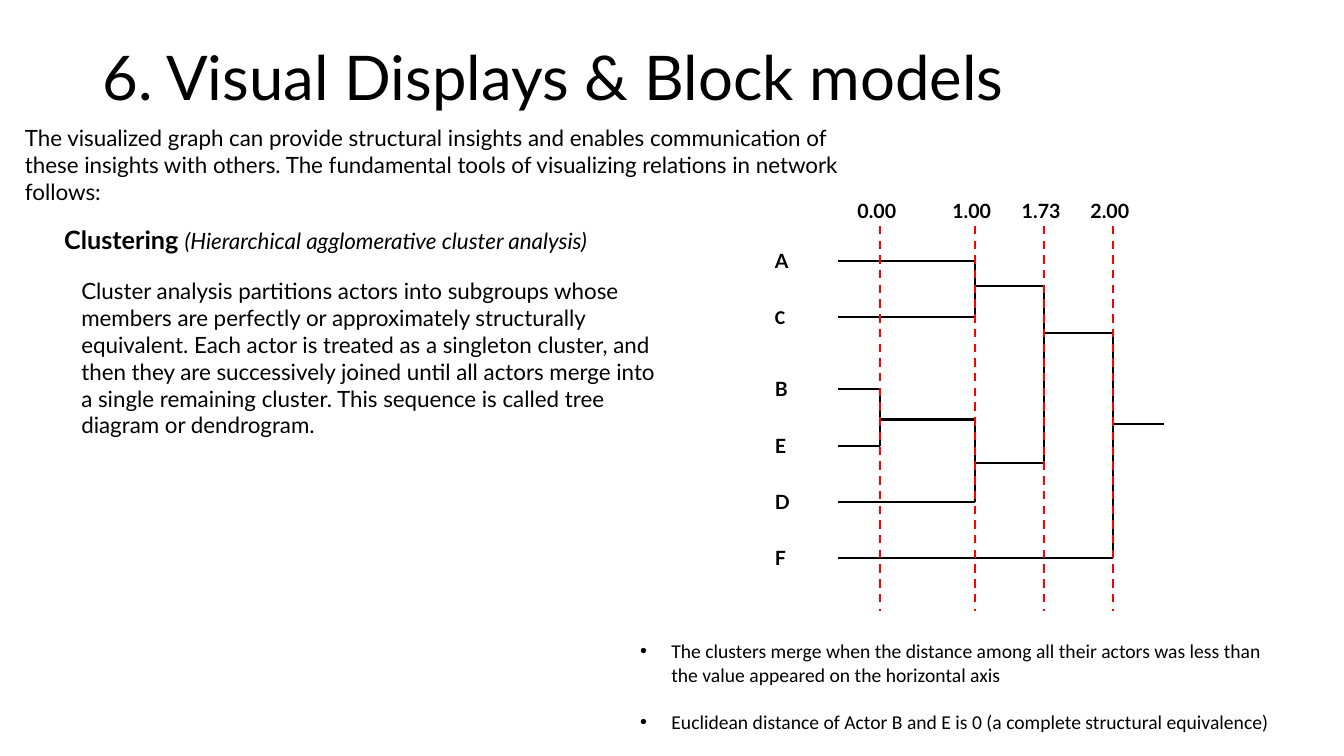
"""Build the slide on visual displays and block models, with its dendrogram."""
from pptx import Presentation
from pptx.dml.color import RGBColor
from pptx.enum.dml import MSO_LINE
from pptx.enum.shapes import MSO_CONNECTOR
from pptx.enum.text import MSO_ANCHOR
from pptx.oxml.ns import qn
from pptx.util import Cm, Pt
from lxml.etree import SubElement

BLACK = RGBColor(0, 0, 0)
RED = RGBColor(255, 0, 0)


def add_text(left, top, width, height, paragraphs, size, name="Lato", bold=False, wrap=True):
    box = page.shapes.add_textbox(Cm(left), Cm(top), Cm(width), Cm(height))
    frame = box.text_frame
    frame.word_wrap = wrap
    for index, text in enumerate(paragraphs):
        paragraph = frame.add_paragraph() if index else frame.paragraphs[0]
        span = paragraph.add_run()
        span.text = text
        formats = {"name": name, "size": Pt(size), "bold": bold}
        for key, value in formats.items():
            setattr(span.font, key, value)
        span.font.color.rgb = BLACK
    return frame


def add_line(x1, y1, x2, y2, color=BLACK):
    line = page.shapes.add_connector(MSO_CONNECTOR.STRAIGHT, Cm(x1), Cm(y1), Cm(x2), Cm(y2))
    line.line.color.rgb = color
    line.line.width = Pt(1.5)
    SubElement(line.element.spPr, qn("a:effectLst"))
    return line


deck = Presentation()
deck.slide_width, deck.slide_height = Cm(33.87), Cm(19.05)
page = deck.slides.add_slide(deck.slide_layouts[6])

title = add_text(2.33, 0.18, 27.03, 3.68, ["6. Visual Displays & Block models"], 44)
title.vertical_anchor = MSO_ANCHOR.MIDDLE
title.paragraphs[0].line_spacing = 0.9

heading = add_text(1.37, 5.54, 13.94, 1.02, ["Clustering "], 18, bold=True, wrap=False)
method = heading.paragraphs[0].add_run()
method.text = "(Hierarchical agglomerative cluster analysis)"
for key, value in {"name": "Lato", "size": Pt(16), "bold": False, "italic": True}.items():
    setattr(method.font, key, value)
method.font.color.rgb = BLACK

add_text(0.38, 3, 21.72, 1.63, [
    "The visualized graph can provide structural insights and enables communication of "
    "these insights with others. The fundamental tools of visualizing relations in network "
    "follows:"], 16)
add_text(1.8, 6.86, 15.11, 4.37, [
    "Cluster analysis partitions actors into subgroups whose members are perfectly or "
    "approximately structurally equivalent. Each actor is treated as a singleton cluster, "
    "and then they are successively joined until all actors merge into a single remaining "
    "cluster. This sequence is called tree diagram or dendrogram."], 16)

distances = {"0.00": 22.17, "1.00": 24.56, "1.73": 26.31, "2.00": 28.04}
actors = {
    "A": (6.58, "1.00"), "C": (7.98, "1.00"), "B": (9.8, "0.00"),
    "E": (11.23, "0.00"), "D": (12.65, "1.00"), "F": (14.07, "2.00"),
}
branch_start, root_end = 21.11, 29.34

for actor, (y, distance) in actors.items():
    font_name = "Calibri" if actor == "C" else "Lato"
    add_text(19.28, y - 0.43, 0.86, 0.86, [actor], 14, font_name, bold=True, wrap=False)
    add_line(branch_start, y, distances[distance], y)

merges = [
    ("0.00", 9.8, 11.23, 10.57, distances["1.00"]),
    ("1.00", 6.58, 7.98, 7.21, distances["1.73"]),
    ("1.00", 10.57, 12.65, 11.66, distances["1.73"]),
    ("1.73", 7.21, 11.66, 8.4, distances["2.00"]),
    ("2.00", 8.4, 14.07, 10.69, root_end),
]
for distance, upper, lower, middle, end in merges:
    x = distances[distance]
    add_line(x, upper, x, lower)
    add_line(x, middle, end, middle)

for distance, x in distances.items():
    add_text(x - 0.81, 4.88, 1.52, 0.86, [distance], 14, bold=True, wrap=False)
    add_line(x, 5.69, x, 15.39, RED).line.dash_style = MSO_LINE.DASH

notes = add_text(15.88, 15.98, 16.38, 3.33, [
    "The clusters merge when the distance among all their actors was less than "
    "the value appeared on the horizontal axis",
    "Euclidean distance of Actor B and E is 0 (a complete structural equivalence)",
], 14, "Calibri")
for paragraph in notes.paragraphs:
    properties = paragraph._p.get_or_add_pPr()
    properties.set("marL", str(Cm(0.79)))
    properties.set("indent", str(-Cm(0.79)))
    SubElement(properties, qn("a:buFont"), typeface="Arial")
    SubElement(properties, qn("a:buChar"), char="•")
notes.paragraphs[1].space_before = Pt(17)

deck.save("out.pptx")
